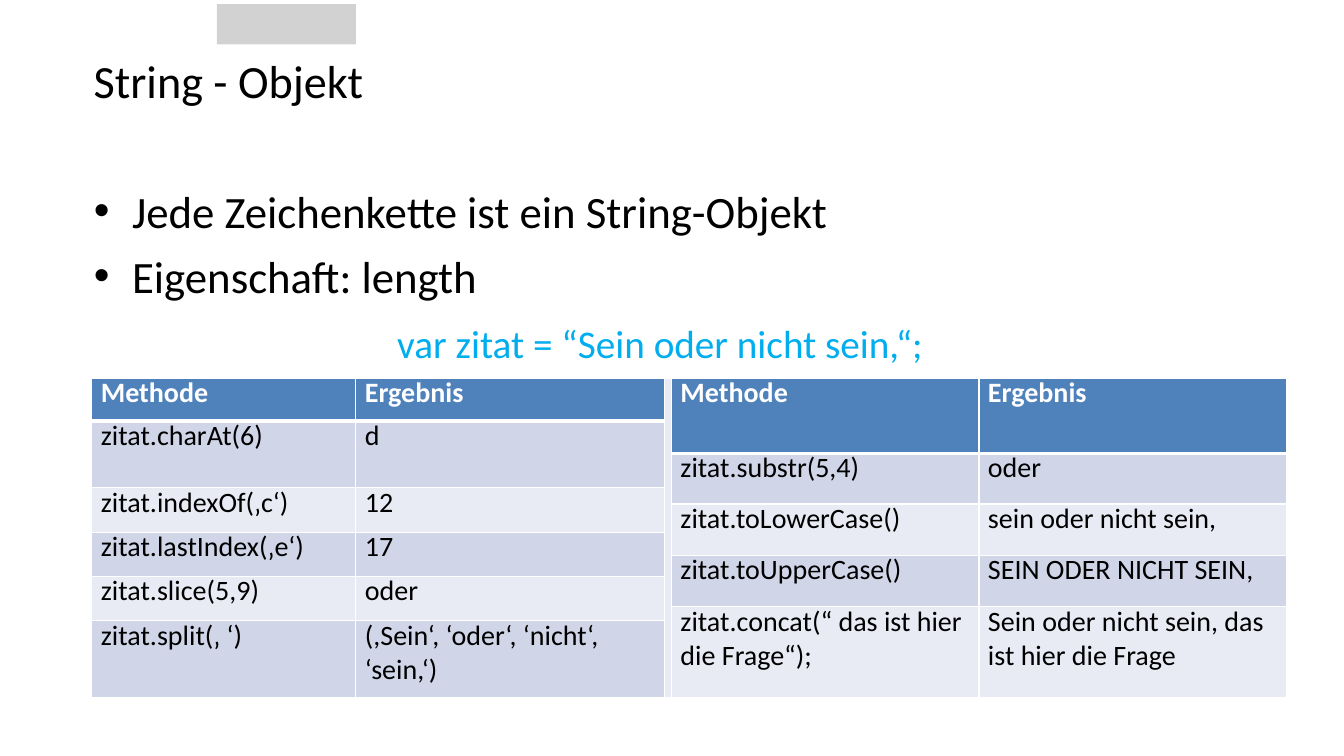
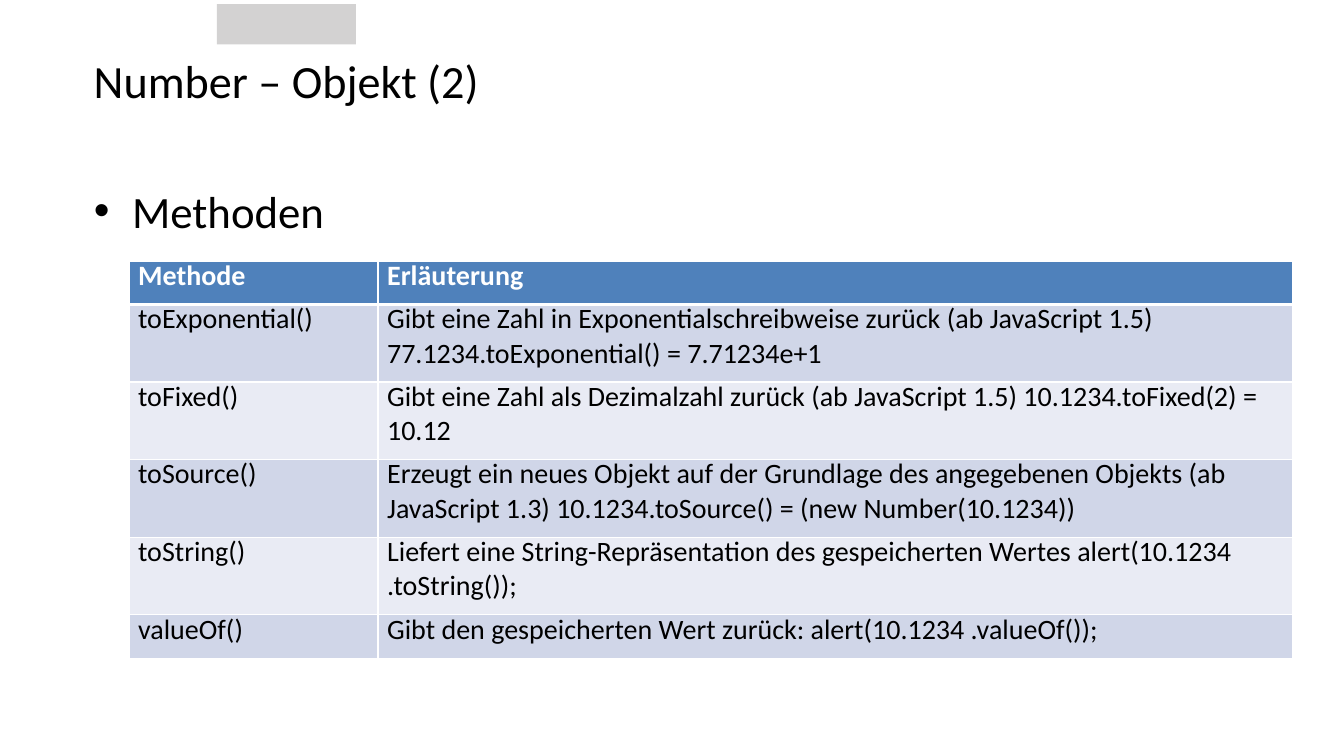
from lxml.etree import SubElement
from pptx import Presentation
from pptx.dml.color import RGBColor
from pptx.enum.shapes import MSO_SHAPE
from pptx.oxml.ns import qn
from pptx.util import Inches, Pt

FONT = "Calibri"
BLACK, WHITE, CODE = "000000", "FFFFFF", "00AEEE"
BAND, HEADER = "D3D2D2", "4F81BB"
STRIPES = ["D0D6E8", "E9EBF4"]


def add_text(slide, left, top, width, height, lines):
    frame = slide.shapes.add_textbox(Inches(left), Inches(top), Inches(width), Inches(height)).text_frame
    frame.word_wrap = True
    frame.margin_left = frame.margin_right = frame.margin_top = frame.margin_bottom = 0
    frame.text = "\n".join(text for text, *_ in lines)
    for paragraph, (_, size, color, before, indent, bullet) in zip(frame.paragraphs, lines):
        paragraph.space_before = Pt(before)
        font = paragraph.runs[0].font
        font.name, font.size = FONT, Pt(size)
        font.color.rgb = RGBColor.from_string(color)
        properties = paragraph._p.get_or_add_pPr()
        properties.set("marL", str(Inches(indent)))
        if bullet:
            properties.set("indent", str(Inches(-0.38)))
            SubElement(properties, qn("a:buFont"), typeface="Arial")
            SubElement(properties, qn("a:buChar"), char="•")


def fill_cell(table, col, first, last, text, level):
    cell = table.cell(first, col)
    if last > first:
        cell.merge(table.cell(last, col))
    color = STRIPES[(level - 1) % 2] if level else HEADER
    for row in range(first, last + 1):
        part = table.cell(row, col)
        widths = {"L": 1, "R": 1, "T": 3 if level == 1 else 1, "B": 1 if level else 3}
        for side, width in widths.items():
            line = SubElement(part._tc.get_or_add_tcPr(), qn("a:ln" + side), w=str(Pt(width)))
            SubElement(SubElement(line, qn("a:solidFill")), qn("a:srgbClr"), val=WHITE)
        part.fill.solid()
        part.fill.fore_color.rgb = RGBColor.from_string(color)
        part.margin_left = Inches(0.09 if text else 0)
        part.margin_right = part.margin_top = part.margin_bottom = 0
    if text:
        cell.text_frame.text = text
        cell.text_frame.paragraphs[0].line_spacing = Pt(22.8)
        for paragraph in cell.text_frame.paragraphs:
            font = paragraph.runs[0].font
            font.name, font.size, font.bold = FONT, Pt(20), level == 0
            font.color.rgb = RGBColor.from_string(BLACK if level else WHITE)


string_methods = [
    ("Methode", "Ergebnis"),
    ("zitat.charAt(6)", "d"),
    ("zitat.indexOf(‚c‘)", "12"),
    ("zitat.lastIndex(‚e‘)", "17"),
    ("zitat.slice(5,9)", "oder"),
    ("zitat.split(‚ ‘)", "(,Sein‘, ‘oder‘, ‘nicht‘,\n‘sein,‘)"),
]
case_methods = [
    ("Methode", "Ergebnis"),
    ("zitat.substr(5,4)", "oder"),
    ("zitat.toLowerCase()", "sein oder nicht sein,"),
    ("zitat.toUpperCase()", "SEIN ODER NICHT SEIN,"),
    ("zitat.concat(“ das ist hier\ndie Frage“);", "Sein oder nicht sein, das\nist hier die Frage"),
]
number_methods = [
    ("Methode", "Erläuterung"),
    ("toExponential()", "Gibt eine Zahl in Exponentialschreibweise zurück (ab JavaScript 1.5)\n"
                        "77.1234.toExponential() = 7.71234e+1"),
    ("toFixed()", "Gibt eine Zahl als Dezimalzahl zurück (ab JavaScript 1.5) 10.1234.toFixed(2) =\n10.12"),
    ("toSource()", "Erzeugt ein neues Objekt auf der Grundlage des angegebenen Objekts (ab\n"
                   "JavaScript 1.3) 10.1234.toSource() = (new Number(10.1234))"),
    ("toString()", "Liefert eine String-Repräsentation des gespeicherten Wertes alert(10.1234\n.toString());"),
    ("valueOf()", "Gibt den gespeicherten Wert zurück: alert(10.1234 .valueOf());"),
]

slides = [
    {
        "title": "String - Objekt",
        "body": [
            ("Jede Zeichenkette ist ein String-Objekt", 32, BLACK, 0, 0.39, True),
            ("Eigenschaft: length", 32, BLACK, 8, 0.39, True),
            ("var zitat = “Sein oder nicht sein,“;", 28, CODE, 12.3, 3.02, False),
        ],
        "origin": (0.91, 3.75),
        "cols": [2.62, 3.06, 0.07, 3.05, 3.05],
        "rows": [0.43, 0.32, 0.34, 0.16, 0.28, 0.23, 0.21, 0.3, 0.14, 0.76],
        "groups": [(0, [0, 1, 3, 5, 7, 9, 10], string_methods), (3, [0, 2, 4, 6, 8, 10], case_methods)],
    },
    {
        "title": "Number – Objekt (2)",
        "body": [("Methoden", 32, BLACK, 0, 0.39, True)],
        "origin": (1.28, 2.59),
        "cols": [2.47, 9.07],
        "rows": [0.43] + [0.77] * 4 + [0.43],
        "groups": [(0, range(7), number_methods)],
    },
]

prs = Presentation()
prs.slide_width, prs.slide_height = Inches(13.33), Inches(7.5)

for content in slides:
    slide = prs.slides.add_slide(prs.slide_layouts[6])
    band = slide.shapes.add_shape(MSO_SHAPE.RECTANGLE, Inches(2.15), Inches(0.04), Inches(1.38), Inches(0.4))
    band.shadow.inherit = False
    band.fill.solid()
    band.fill.fore_color.rgb = RGBColor.from_string(BAND)
    band.line.fill.background()
    add_text(slide, 0.92, 0.52, 11.5, 0.57, [(content["title"], 33, BLACK, 0, 0.01, False)])
    add_text(slide, 0.92, 1.82, 11.5, 0.61 * len(content["body"]), content["body"])

    left, top = content["origin"]
    cols, rows = content["cols"], content["rows"]
    table = slide.shapes.add_table(len(rows), len(cols), Inches(left), Inches(top),
                                   Inches(sum(cols)), Inches(sum(rows))).table
    for column, width in zip(table.columns, cols):
        column.width = Inches(width)
    for row, height in zip(table.rows, rows):
        row.height = Inches(height)
    for first_col, starts, methods in content["groups"]:
        for level, texts in enumerate(methods):
            for offset, text in enumerate(texts):
                fill_cell(table, first_col + offset, starts[level], starts[level + 1] - 1, text, level)
    if len(cols) == 5:
        fill_cell(table, 2, 0, len(rows) - 1, "", 2)

prs.save("out.pptx")
